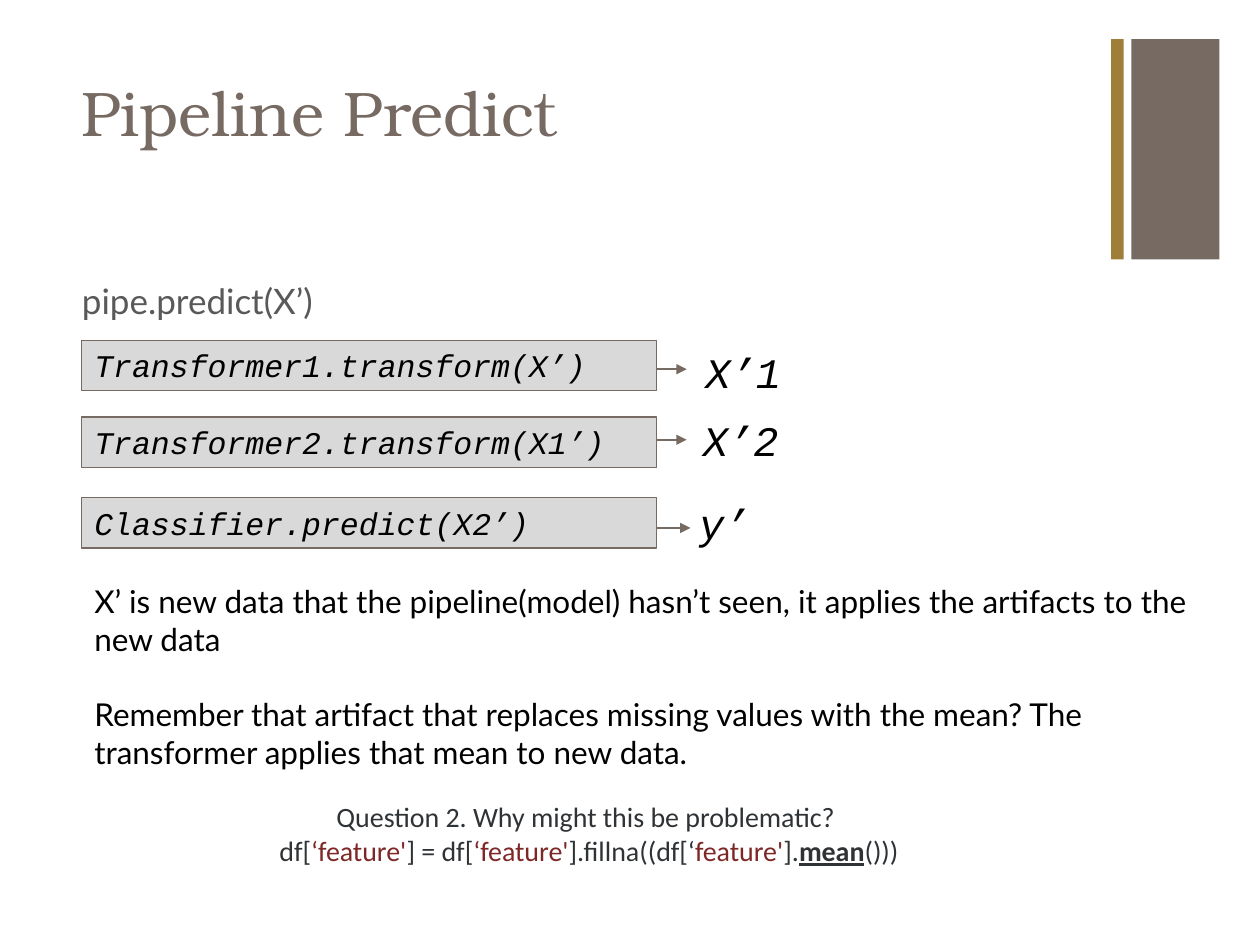
"""Build the Pipeline Predict slide."""
import pptx
import pptx.util
import pptx.dml.color
import pptx.enum.shapes
import pptx.enum.text
import pptx.oxml
import pptx.oxml.ns

Pt = pptx.util.Pt
Color = pptx.dml.color.RGBColor
Align = pptx.enum.text.PP_ALIGN
Anchor = pptx.enum.text.MSO_ANCHOR
Fit = pptx.enum.text.MSO_AUTO_SIZE
RECT = pptx.enum.shapes.MSO_SHAPE.RECTANGLE
LINE = pptx.enum.shapes.MSO_CONNECTOR.STRAIGHT

TAUPE = Color(0x76, 0x6A, 0x62)
GOLD = Color(0x9E, 0x7E, 0x38)
GRAY = Color(0x59, 0x59, 0x59)
PALE = Color(0xD9, 0xD9, 0xD9)
BLACK = Color(0, 0, 0)
INK = Color(0x30, 0x33, 0x36)
RED = Color(0x7D, 0x27, 0x27)

TITLE = "Pipeline Predict"
CALL = "pipe.predict(X’)"
BARS = [((646.5, 22.3, 50.4, 126), TAUPE), ((635, 22.3, 7.2, 126), GOLD)]
STEPS = [
    ("Transformer1.transform(X’)", 194.4, 280.8, 211, "X’1", (396, 194.4, 65.5, 36)),
    ("Transformer2.transform(X1’)", 238.3, 280.8, 251.3, "X’2", (394.6, 233.3, 59, 36)),
    ("Classifier.predict(X2’)", 284.4, 283, 301.7, "y’", (392.4, 280.8, 59, 36)),
]
NOTES = [
    "X’ is new data that the pipeline(model) hasn’t seen, it applies the artifacts to the new data",
    "Remember that artifact that replaces missing values with the mean? "
    "The transformer applies that mean to new data.",
]
QUERY = [
    [("Question 2. Why might this be problematic? ", INK, False)],
    [("df[", INK, False), ("‘feature'", RED, False), ("] = df[", INK, False),
     ("‘feature'", RED, False), ("].fillna((df[‘", INK, False),
     ("feature'", RED, False), ("].", INK, False), ("mean", INK, True),
     ("()))", INK, False)],
]
REACH = 111.6


def place(shape, box):
    shape.left, shape.top, shape.width, shape.height = map(Pt, box)


def write(para, text, font, size, color, slant=False, strong=False):
    run = para.add_run()
    run.text = text
    face = run.font
    face.name, face.size, face.color.rgb = font, Pt(size), color
    face.italic, face.bold, face.underline = slant, strong, strong


def setup(frame, anchor=Anchor.TOP):
    frame.word_wrap = True
    frame.auto_size = Fit.NONE
    frame.vertical_anchor = anchor
    para = frame.paragraphs[0]
    para.alignment = Align.LEFT
    return para


def block(slide, box, fill, edge=None):
    shape = slide.shapes.add_shape(RECT, *map(Pt, box))
    shape.shadow.inherit = False
    shape.fill.solid()
    shape.fill.fore_color.rgb = fill
    if edge is None:
        shape.line.fill.background()
    else:
        shape.line.color.rgb = edge
        shape.line.width = Pt(0.75)
    return shape


def label(slide, box):
    return slide.shapes.add_textbox(*map(Pt, box)).text_frame


def arrow(slide, left, y):
    link = slide.shapes.add_connector(LINE, Pt(left), Pt(y), Pt(left + REACH), Pt(y))
    link.line.color.rgb = TAUPE
    link.line.width = Pt(1)
    tip = pptx.oxml.parse_xml(
        f'<a:tailEnd {pptx.oxml.ns.nsdecls("a")} type="triangle"/>')
    link.line._get_or_add_ln().append(tip)
    link._element.spPr.append(
        pptx.oxml.parse_xml(f'<a:effectLst {pptx.oxml.ns.nsdecls("a")}/>'))


def main():
    deck = pptx.Presentation()
    deck.slide_width, deck.slide_height = Pt(720), Pt(540)
    slide = deck.slides.add_slide(deck.slide_layouts[1])
    for box, fill in BARS:
        block(slide, box, fill)

    title, body = slide.placeholders
    place(title, (39.6, 38.2, 594.7, 87.8))
    write(setup(title.text_frame), TITLE, "TeX Gyre Bonum", 36, TAUPE)
    place(body, (39.6, 156.2, 594.7, 326.2))
    para = setup(body.text_frame)
    props = para._p.get_or_add_pPr()
    props.set("marL", "0")
    props.set("indent", "0")
    props.append(pptx.oxml.parse_xml(f'<a:buNone {pptx.oxml.ns.nsdecls("a")}/>'))
    para.space_before = Pt(0)
    write(para, CALL, "Lato", 20, GRAY)

    frame = label(slide, (46.8, 329, 648.7, 116.6))
    para = setup(frame)
    write(para, NOTES[0], "Lato", 18, BLACK)
    para = frame.add_paragraph()
    para.space_before = Pt(21.6)
    write(para, NOTES[1], "Lato", 18, BLACK)

    frame = label(slide, (91.4, 453.6, 490.3, 46))
    setup(frame)
    frame.add_paragraph()
    for para, parts in zip(frame.paragraphs, QUERY):
        para.alignment = Align.CENTER
        for text, color, strong in parts:
            write(para, text, "Calibri", 16, color, strong=strong)

    for code, top, left, y, out, box in STEPS:
        arrow(slide, left, y)
        step = block(slide, (46.8, top, 328.3, 28.8), PALE, TAUPE)
        write(setup(step.text_frame, Anchor.MIDDLE), code, "Courier New", 18, BLACK, slant=True)
        write(setup(label(slide, box)), out, "Courier New", 24, BLACK, slant=True)

    deck.save("out.pptx")


if __name__ == "__main__":
    main()
